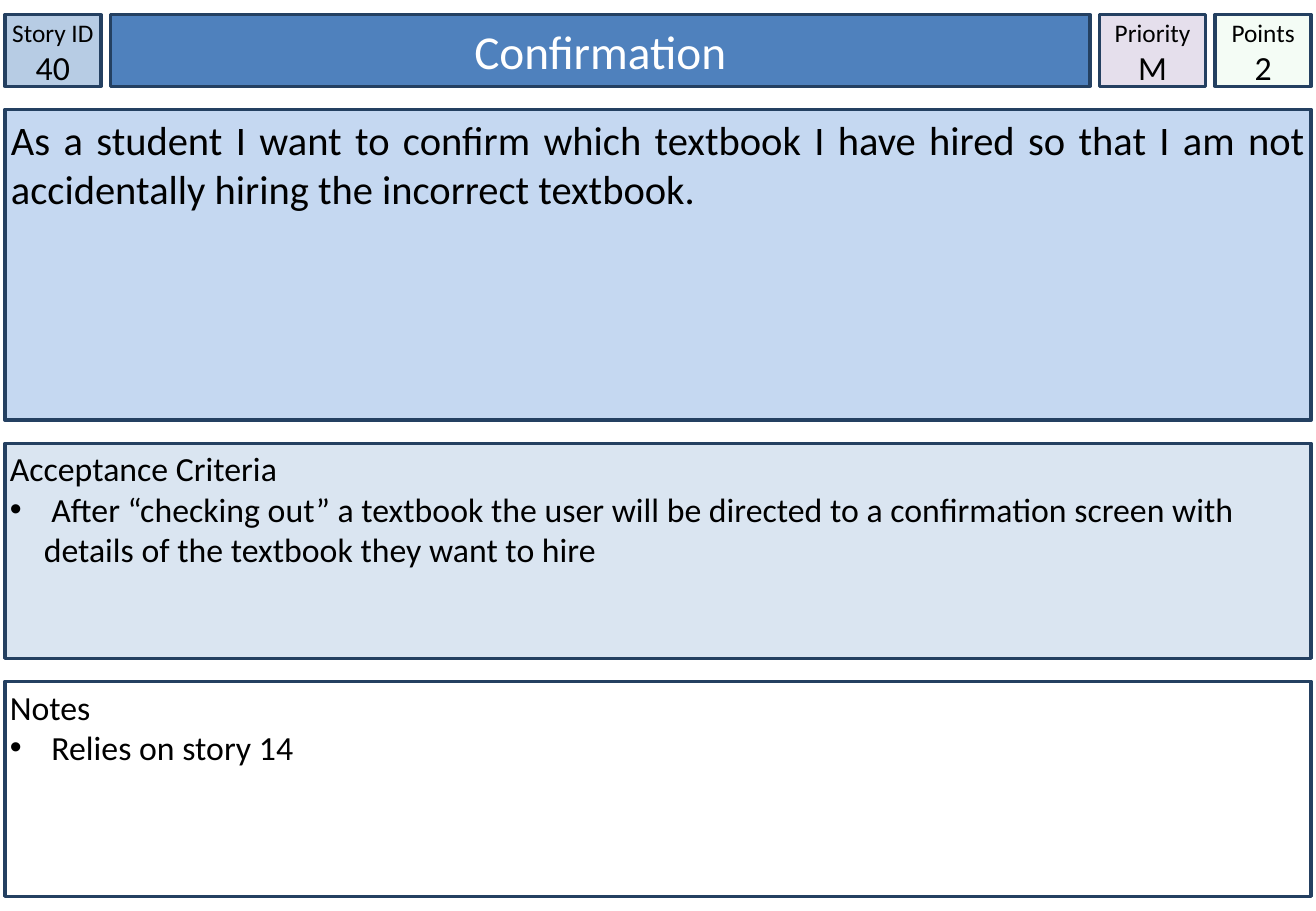
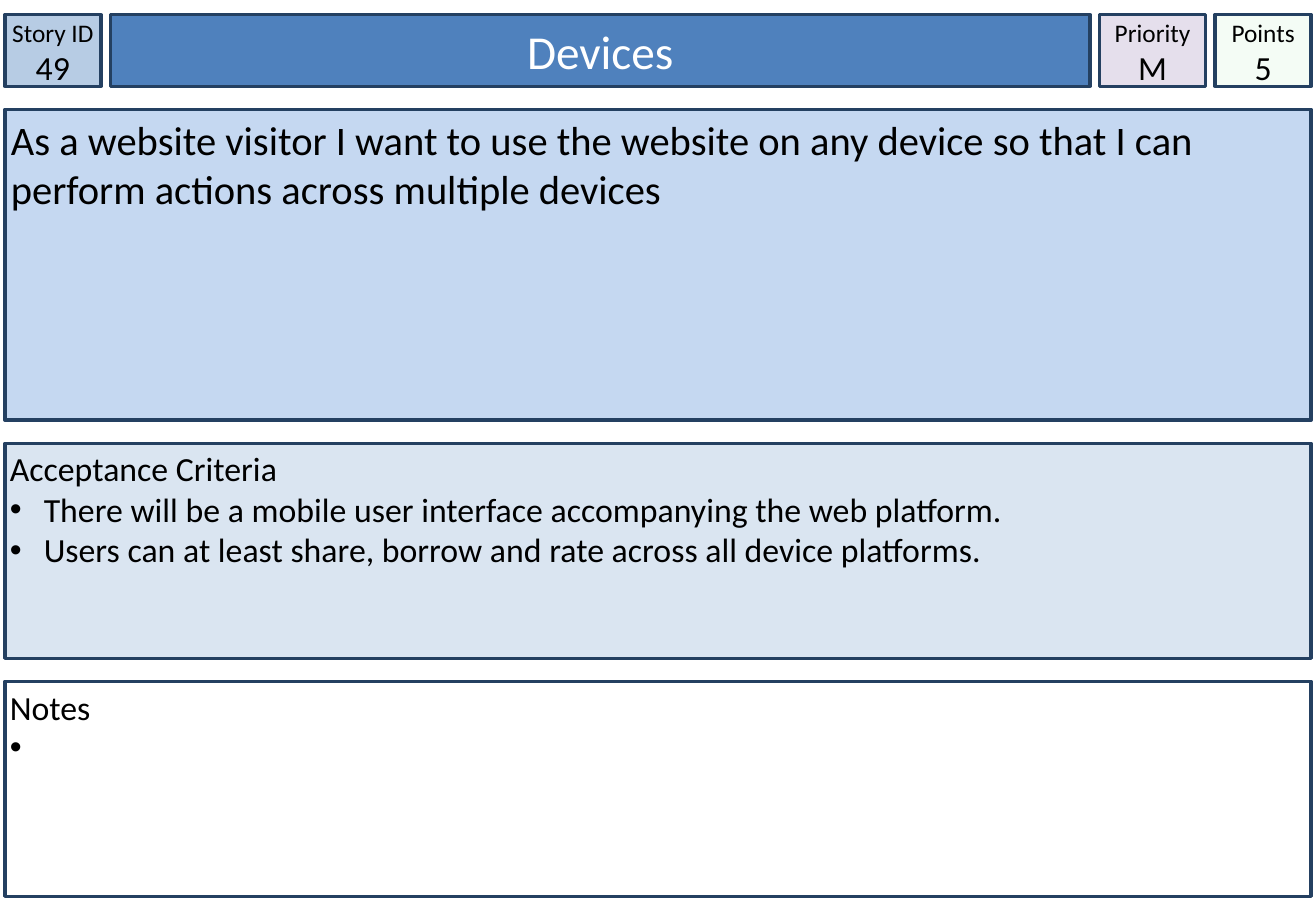
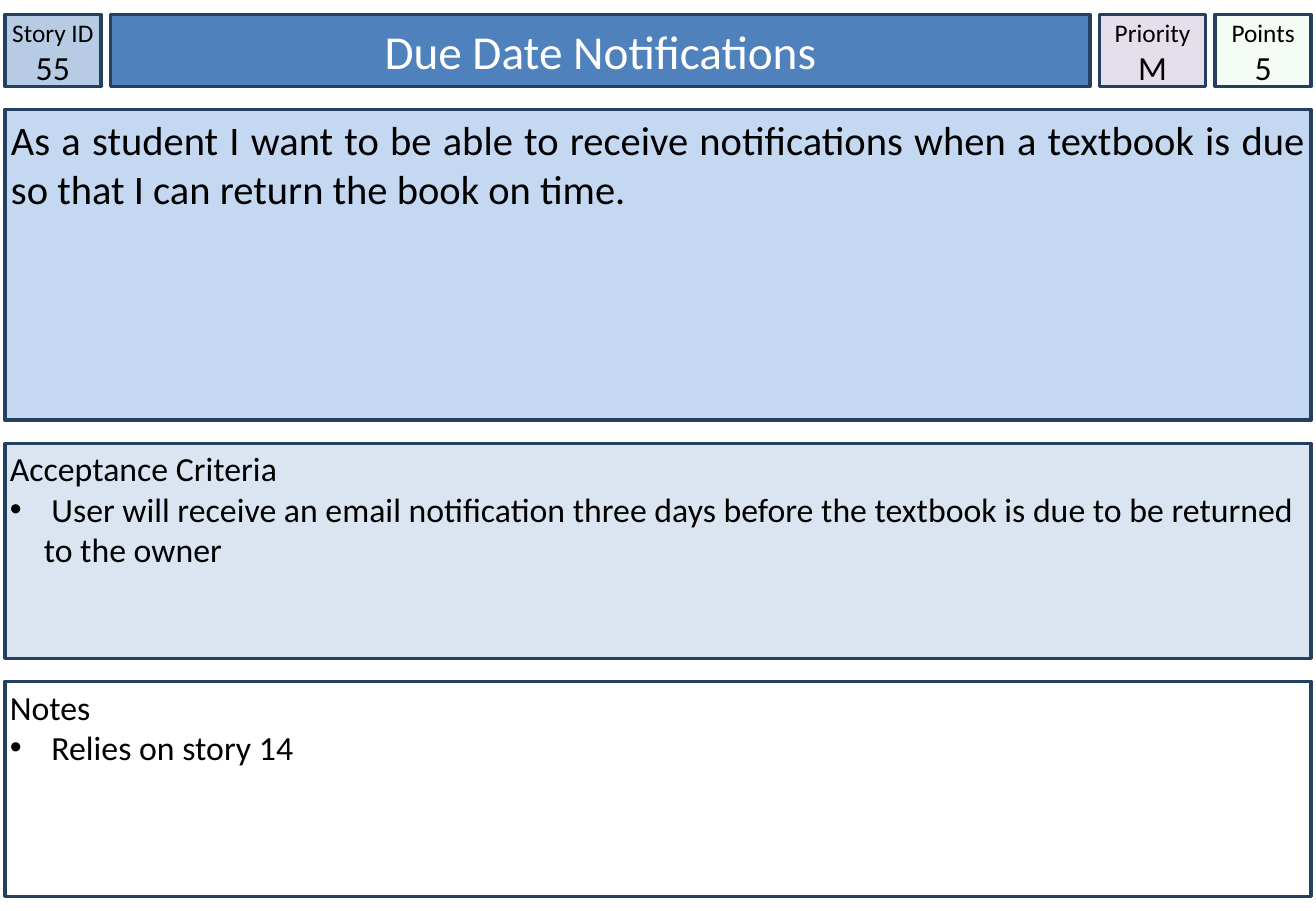
"""Build a deck of user story cards."""
from dataclasses import dataclass

from lxml import etree
from pptx import Presentation
from pptx.dml.color import RGBColor
from pptx.enum import shapes, text
from pptx.oxml import ns
from pptx.util import Inches, Pt

FONT = "Calibri"
BLACK = RGBColor(0x00, 0x00, 0x00)
WHITE = RGBColor(0xFF, 0xFF, 0xFF)
BORDER = RGBColor(0x24, 0x40, 0x61)
ID_BLUE = RGBColor(0xB7, 0xCC, 0xE4)
TITLE_BLUE = RGBColor(0x4F, 0x81, 0xBD)
STORY_BLUE = RGBColor(0xC5, 0xD8, 0xF1)
CRITERIA_BLUE = RGBColor(0xDA, 0xE5, 0xF1)
PRIORITY_LILAC = RGBColor(0xE5, 0xDF, 0xEC)
POINTS_GREEN = RGBColor(0xCC, 0xF0, 0xCD)

PAGE_WIDTH, PAGE_HEIGHT = 10.83, 7.5
LEFT, TOP, WIDTH = 0.04, 0.12, 10.75
HEADER_HEIGHT, STORY_HEIGHT, LIST_HEIGHT = 0.59, 2.56, 1.77
ROW_GAP, TILE_GAP = 0.19, 0.08
TILE_WIDTH, PRIORITY_WIDTH = 0.79, 0.87
BULLET_INDENT = 0.28

LEFT_ALIGN = text.PP_ALIGN.LEFT
CENTER = text.PP_ALIGN.CENTER
JUSTIFY = text.PP_ALIGN.JUSTIFY


@dataclass
class Story:
    """The content of one card."""
    number: str
    title: str
    points: str
    wish: str
    criteria: list
    notes: list
    wish_align: text.PP_ALIGN = JUSTIFY
    priority: str = "M"


STORIES = [
    Story("40", "Confirmation", "2",
          "As a student I want to confirm which textbook I have hired so that "
          "I am not accidentally hiring the incorrect textbook.",
          [" After “checking out” a textbook the user will be directed to a "
           "confirmation screen with details of the textbook they want to hire"],
          [" Relies on story 14"]),
    Story("49", "Devices", "5",
          "As a website visitor I want to use the website on any device so that "
          "I can perform actions across multiple devices",
          ["There will be a mobile user interface accompanying the web platform.",
           "Users can at least share, borrow and rate across all device platforms."],
          [" "], LEFT_ALIGN),
    Story("55", "Due Date Notifications", "5",
          "As a student I want to be able to receive notifications when a "
          "textbook is due so that I can return the book on time.",
          [" User will receive an email notification three days before the "
           "textbook is due to be returned to the owner"],
          [" Relies on story 14"]),
]


def add_panel(page, box, fill, inset=0.0, anchor=text.MSO_ANCHOR.TOP):
    """Add a bordered rectangle and return it."""
    panel = page.shapes.add_shape(shapes.MSO_SHAPE.RECTANGLE, *map(Inches, box))
    panel.shadow.inherit = False
    panel.fill.solid()
    panel.fill.fore_color.rgb = fill
    panel.line.color.rgb = BORDER
    panel.line.width = Pt(2)
    frame = panel.text_frame
    frame.word_wrap = True
    frame.vertical_anchor = anchor
    frame.margin_left = frame.margin_right = Inches(inset)
    frame.margin_top = frame.margin_bottom = Inches(inset)
    return panel


def add_bullet(para):
    """Give a paragraph a black round bullet with a hanging indent."""
    props = para._p.get_or_add_pPr()
    props.set("marL", str(Inches(BULLET_INDENT)))
    props.set("indent", str(-Inches(BULLET_INDENT)))
    colour = etree.SubElement(props, ns.qn("a:buClr"))
    etree.SubElement(colour, ns.qn("a:srgbClr"), val=str(BLACK))
    etree.SubElement(props, ns.qn("a:buFont"), typeface="Arial")
    etree.SubElement(props, ns.qn("a:buChar"), char="•")


def write(panel, lines, align=LEFT_ALIGN, colour=BLACK):
    """Fill a panel with (wording, size, bulleted) lines."""
    frame = panel.text_frame
    for index, (wording, size, bulleted) in enumerate(lines):
        para = frame.add_paragraph() if index else frame.paragraphs[0]
        para.alignment = align
        if bulleted:
            add_bullet(para)
        para.add_run().text = wording
        para.font.name = FONT
        para.font.size = Pt(size)
        para.font.color.rgb = colour


def add_tile(page, box, label, value, fill):
    """Add a small header tile with a label above its value."""
    tile = add_panel(page, box, fill, anchor=text.MSO_ANCHOR.MIDDLE)
    tile.text_frame.margin_top = Inches(0.03)
    write(tile, [(label, 15, False), (value, 20, False)], CENTER)
    return tile


def add_header(page, box, story):
    """Add the row with story number, title, priority and points."""
    left, top, width, height = box
    title_left = left + TILE_WIDTH + TILE_GAP
    points_left = left + width - TILE_WIDTH
    priority_left = points_left - TILE_GAP - PRIORITY_WIDTH
    title_width = priority_left - TILE_GAP - title_left

    add_tile(page, (left, top, TILE_WIDTH, height), "Story ID", story.number, ID_BLUE)
    title = add_panel(page, (title_left, top, title_width, height), TITLE_BLUE,
                      anchor=text.MSO_ANCHOR.MIDDLE)
    write(title, [(story.title, 28, False)], CENTER, WHITE)
    add_tile(page, (priority_left, top, PRIORITY_WIDTH, height),
             "Priority", story.priority, PRIORITY_LILAC)
    points = add_tile(page, (points_left, top, TILE_WIDTH, height),
                      "Points", story.points, POINTS_GREEN)
    colour = points.fill._xPr.find(ns.qn("a:solidFill"))[0]
    etree.SubElement(colour, ns.qn("a:alpha"), val="20000")


def add_wish(page, box, story):
    """Add the panel with the story sentence."""
    panel = add_panel(page, box, STORY_BLUE, 0.05)
    write(panel, [(story.wish, 24, False)], story.wish_align)


def add_list(page, box, heading, items, fill):
    """Add a panel with a heading and bulleted items."""
    panel = add_panel(page, box, fill, 0.04)
    write(panel, [(heading, 20, False)] + [(item, 20, True) for item in items])


def add_card(deck, story):
    """Add one story card slide."""
    page = deck.slides.add_slide(deck.slide_layouts[6])
    boxes, top = [], TOP
    for height in (HEADER_HEIGHT, STORY_HEIGHT, LIST_HEIGHT, LIST_HEIGHT):
        boxes.append((LEFT, top, WIDTH, height))
        top += height + ROW_GAP
    header, wish, criteria, notes = boxes
    add_header(page, header, story)
    add_wish(page, wish, story)
    add_list(page, criteria, "Acceptance Criteria", story.criteria, CRITERIA_BLUE)
    add_list(page, notes, "Notes", story.notes, WHITE)


def main():
    """Build and save the deck."""
    deck = Presentation()
    deck.slide_width, deck.slide_height = Inches(PAGE_WIDTH), Inches(PAGE_HEIGHT)
    for story in STORIES:
        add_card(deck, story)
    deck.save("out.pptx")


if __name__ == "__main__":
    main()
